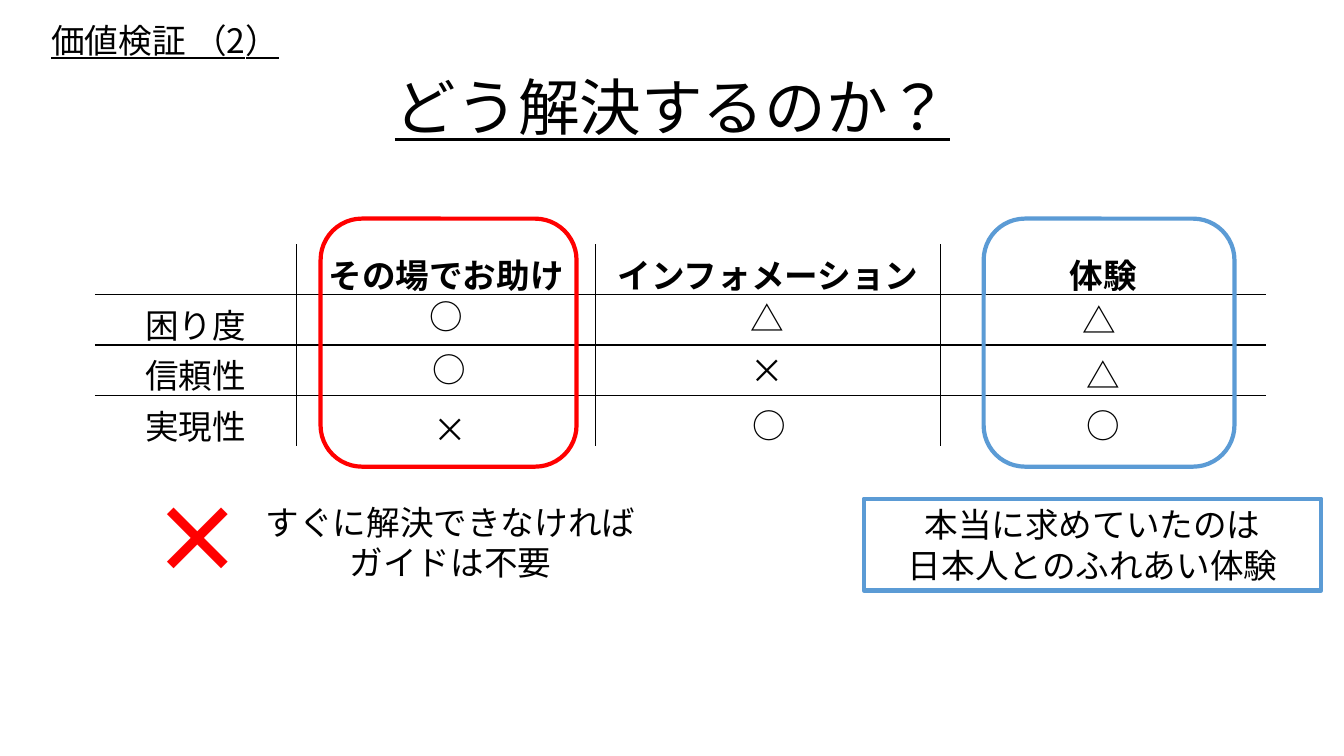
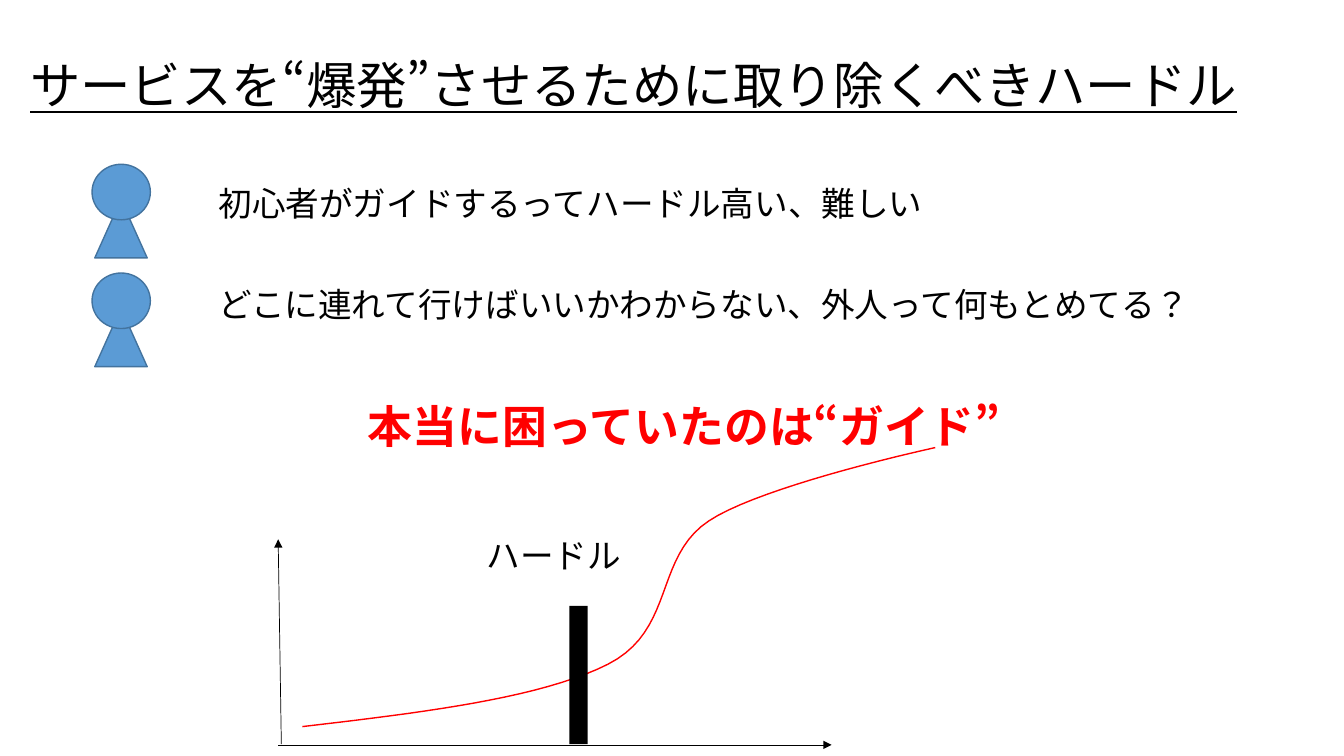
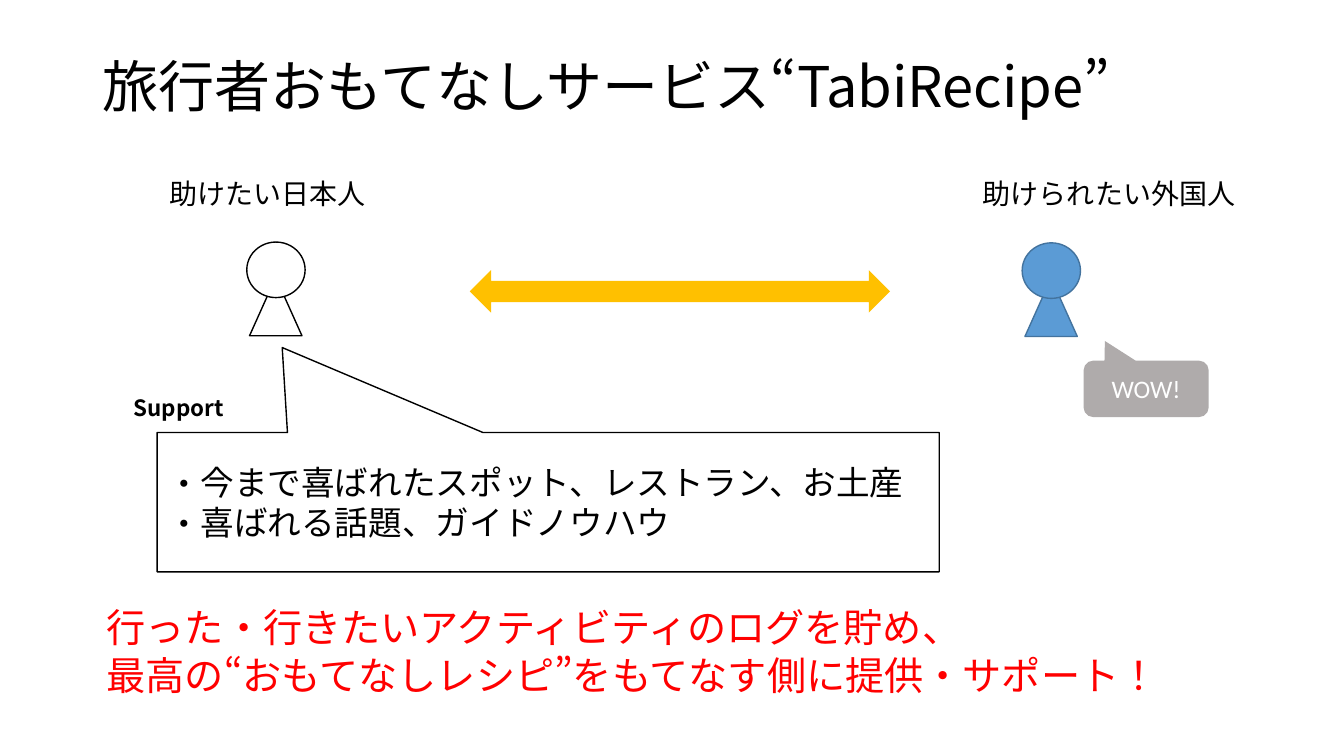
import dataclasses

import lxml.etree
import pptx
import pptx.dml.color
import pptx.enum.lang
import pptx.enum.shapes
import pptx.enum.text
import pptx.oxml.ns
import pptx.util

Cm = pptx.util.Cm
Pt = pptx.util.Pt
RGB = pptx.dml.color.RGBColor.from_string
qn = pptx.oxml.ns.qn
Kind = pptx.enum.shapes.MSO_SHAPE
MID = pptx.enum.text.MSO_ANCHOR.MIDDLE
LEFT = pptx.enum.text.PP_ALIGN.LEFT
MID_ROW = pptx.enum.text.PP_ALIGN.CENTER


@dataclasses.dataclass(frozen=True)
class Theme:
    black: str = "000000"
    white: str = "FFFFFF"
    red: str = "FF0000"
    blue: str = "5B9BD5"
    navy: str = "43739E"
    gold: str = "FFC000"
    grey: str = "AFABAB"
    font: str = "Noto Sans CJK JP"
    latin: str = "Calibri"
    huge: int = 66
    title: int = 44
    head: int = 40
    sub: int = 36
    shout: int = 32
    lead: int = 28
    body: int = 24
    label: int = 20
    cheer: int = 18
    small: int = 16
    tight: float = 0.9


look = Theme()


def write(frame, text, size=look.body, color=look.black, font=look.font, bold=False,
          line=False, align=LEFT, space=None, before=0, bullet=None, anchor=None):
    """Fill a frame, one paragraph for each line of the text."""
    if anchor is not None:
        frame.vertical_anchor = anchor
    for i, words in enumerate(text.split("\n")):
        para = frame.add_paragraph() if i else frame.paragraphs[0]
        para.alignment = align
        if space:
            para.line_spacing = space
        if i and before:
            para.space_before = Pt(before)
        if bullet:
            props = para._p.get_or_add_pPr()
            props.set("marL", str(Pt(size)))
            props.set("indent", str(-Pt(size)))
            lxml.etree.SubElement(props, qn("a:buFont")).set("typeface", look.font)
            lxml.etree.SubElement(props, qn("a:buChar")).set("char", bullet)
        run = para.add_run()
        run.text = words
        run.font.name = font
        run.font.size = Pt(size)
        run.font.bold = bold
        run.font.underline = line
        run.font.color.rgb = RGB(color)
        run.font.language_id = pptx.enum.lang.MSO_LANGUAGE_ID.JAPANESE
        east = lxml.etree.SubElement(run._r.get_or_add_rPr(), qn("a:ea"))
        east.set("typeface", look.font)


def draw(page, kind, at, fill=None, line=None, width=1):
    """Add a preset shape, or a text box if kind is None; return it."""
    area = [Cm(n) for n in at]
    if kind is None:
        shape = page.shapes.add_textbox(*area)
    else:
        shape = page.shapes.add_shape(kind, *area)
        shape.shadow.inherit = False
        if fill:
            shape.fill.solid()
            shape.fill.fore_color.rgb = RGB(fill)
        else:
            shape.fill.background()
        if line:
            shape.line.color.rgb = RGB(line)
            shape.line.width = Pt(width)
        else:
            shape.line.fill.background()
    shape.text_frame.word_wrap = True
    return shape


deck = pptx.Presentation()
deck.slide_width, deck.slide_height = Cm(33.87), Cm(19.05)
value, hurdle, service = [deck.slides.add_slide(deck.slide_layouts[6]) for _ in range(3)]

# Titles
for page, text, at, size, line, align in (
    (value, "どう解決するのか？", (2.34, 0.94, 29.21, 3.68), look.title, True, MID_ROW),
    (value, "価値検証 （2）", (0, 0.33, 8.33, 1.47), look.body, True, MID_ROW),
    (hurdle, "サービスを“爆発”させるために取り除くべきハードル",
     (0.51, 0.38, 32.33, 3.68), look.sub, True, LEFT),
    (service, "旅行者おもてなしサービス“TabiRecipe”",
     (2.34, 0.41, 29.21, 3.68), look.head, False, LEFT),
):
    write(draw(page, None, at).text_frame, text, size=size, line=line, align=align,
          space=look.tight, anchor=MID)

# People
for page, x, y, fill, line in (
    (hurdle, 2.32, 4.14, look.blue, look.navy),
    (hurdle, 2.32, 6.88, look.blue, look.navy),
    (service, 6.22, 6.1, look.white, look.black),
    (service, 25.76, 6.12, look.blue, look.navy),
):
    draw(page, Kind.ISOSCELES_TRIANGLE, (x + 0.07, y + 0.89, 1.32, 1.47), fill, line)
    draw(page, Kind.OVAL, (x, y, 1.47, 1.4), fill, line)

# Slide 1: table of options
rows = (
    ("", "その場でお助け", "インフォメーション", "体験"),
    ("困り度", "", "", ""),
    ("信頼性", "", "", "△"),
    ("実現性", "", "", ""),
)
wide = (5.08, 7.54, 8.69, 8.2)
high = 1.27
grid = value.shapes.add_table(len(rows), len(wide), Cm(2.39), Cm(6.15),
                              Cm(sum(wide)), Cm(high * len(rows))).table
grid.first_row = grid.horz_banding = False
for col, size in zip(grid.columns, wide):
    col.width = Cm(size)
for r, row in enumerate(rows):
    grid.rows[r].height = Cm(high)
    for c, text in enumerate(row):
        cell = grid.cell(r, c)
        cell.fill.solid()
        cell.fill.fore_color.rgb = RGB(look.white)
        write(cell.text_frame, text, bold=r == 0, align=MID_ROW)
        inner = {"a:lnL": c > 0, "a:lnR": c < len(wide) - 1,
                 "a:lnT": r > 0, "a:lnB": r < len(rows) - 1}
        props = cell._tc.get_or_add_tcPr()
        for i, (tag, shown) in enumerate(inner.items()):
            edge = props.makeelement(qn(tag), {"w": str(Pt(1))})
            props.insert(i, edge)
            if shown:
                paint = lxml.etree.SubElement(edge, qn("a:solidFill"))
                lxml.etree.SubElement(paint, qn("a:srgbClr")).set("val", look.black)
            else:
                lxml.etree.SubElement(edge, qn("a:noFill"))

for mark, x, y in (
    ("○", 10.57, 7.32), ("○", 10.64, 8.66), ("×", 10.67, 10.19),
    ("△", 18.67, 7.39), ("×", 18.67, 8.69), ("○", 18.72, 10.08),
    ("△", 27.03, 7.44), ("○", 27.13, 10.08),
):
    write(draw(value, None, (x, y, 2.59, 1.27)).text_frame, mark)

for x, width, color in ((8.08, 6.45, look.red), (24.79, 6.32, look.blue)):
    draw(value, Kind.ROUNDED_RECTANGLE, (x, 5.51, width, 6.25), line=color, width=3)

write(draw(value, None, (3.56, 12.01, 4.93, 3.07)).text_frame, "×",
      size=look.huge, color=look.red, bold=True)
write(draw(value, None, (5.59, 12.52, 11.53, 2.31)).text_frame,
      "すぐに解決できなければ\nガイドは不要", align=MID_ROW)
wish = draw(value, Kind.RECTANGLE, (21.77, 12.57, 11.53, 2.31), line=look.blue, width=3)
write(wish.text_frame, "本当に求めていたのは\n日本人とのふれあい体験", align=MID_ROW)

# Slide 2: voices and growth curve
write(draw(hurdle, None, (5.26, 4.6, 28.4, 4.95)).text_frame,
      "初心者がガイドするってハードル高い、難しい\n"
      "どこに連れて行けばいいかわからない、外人って何もとめてる？",
      space=look.tight, before=46)

start = (7.62, 18.31)
bends = (
    ((10.62, 17.96), (13.61, 17.6), (15.32, 16.74)),
    ((17.02, 15.88), (16.48, 14.05), (17.86, 13.13)),
    ((19.23, 12.22), (23.57, 11.28), (23.57, 11.28)),
)
steps = 20
dots = []
last = start
for one, two, end in bends:
    for i in range(1, steps + 1):
        t = i / steps
        u = 1 - t
        dots.append(tuple(
            Cm(u**3 * a + 3 * u * u * t * b + 3 * u * t * t * c + t**3 * d)
            for a, b, c, d in zip(last, one, two, end)))
    last = end
pen = hurdle.shapes.build_freeform(Cm(start[0]), Cm(start[1]))
pen.add_line_segments(dots, close=False)
curve = pen.convert_to_shape()
curve.shadow.inherit = False
curve.fill.background()
curve.line.color.rgb = RGB(look.red)
curve.line.width = Pt(1)

draw(hurdle, Kind.RECTANGLE, (14.35, 15.27, 0.46, 3.48), look.black)
write(draw(hurdle, None, (12.01, 13.36, 4.78, 1.27)).text_frame, "ハードル", font=look.latin)
for ends in ((7.01, 18.77, 20.96, 18.77), (7.09, 18.75, 7.01, 13.59)):
    axis = hurdle.shapes.add_connector(pptx.enum.shapes.MSO_CONNECTOR.STRAIGHT,
                                       *[Cm(n) for n in ends])
    axis.line.color.rgb = RGB(look.black)
    axis.line.width = Pt(0.5)
    lxml.etree.SubElement(axis.line._get_or_add_ln(), qn("a:tailEnd")).set("type", "triangle")
    lxml.etree.SubElement(axis._element.spPr, qn("a:effectLst"))
write(draw(hurdle, None, (2.64, 10.08, 29.21, 3.35)).text_frame,
      "本当に困っていたのは“ガイド”", size=look.shout, color=look.red, bold=True,
      align=MID_ROW, space=look.tight)

# Slide 3: service outline
draw(service, Kind.LEFT_RIGHT_ARROW, (11.84, 6.81, 10.59, 1.07), look.gold)
for text, x in (("助けたい日本人", 4.01), ("助けられたい外国人", 24.52)):
    write(draw(service, None, (x, 4.32, 8.8, 1.12)).text_frame, text, size=look.label)

tips = draw(service, Kind.RECTANGULAR_CALLOUT, (3.96, 10.9, 19.71, 3.51), line=look.black)
tips.adjustments[0], tips.adjustments[1] = -0.34, -1.11
write(tips.text_frame, "今まで喜ばれたスポット、レストラン、お土産\n喜ばれる話題、ガイドノウハウ",
      bullet="・", anchor=MID)
write(draw(service, None, (3.12, 9.8, 3.91, 0.94)).text_frame, "Support",
      size=look.small, bold=True)
cheer = draw(service, Kind.ROUNDED_RECTANGULAR_CALLOUT, (27.31, 9.09, 3.15, 1.42), look.grey)
cheer.adjustments[0], cheer.adjustments[1] = -0.33, -0.85
write(cheer.text_frame, "WOW!", size=look.cheer, color=look.white, font=look.latin,
      align=MID_ROW, anchor=MID)
write(draw(service, None, (2.44, 15.09, 28.58, 2.64)).text_frame,
      "行った・行きたいアクティビティのログを貯め、\n"
      "最高の“おもてなしレシピ”をもてなす側に提供・サポート！",
      size=look.lead, color=look.red)

deck.save("out.pptx")
